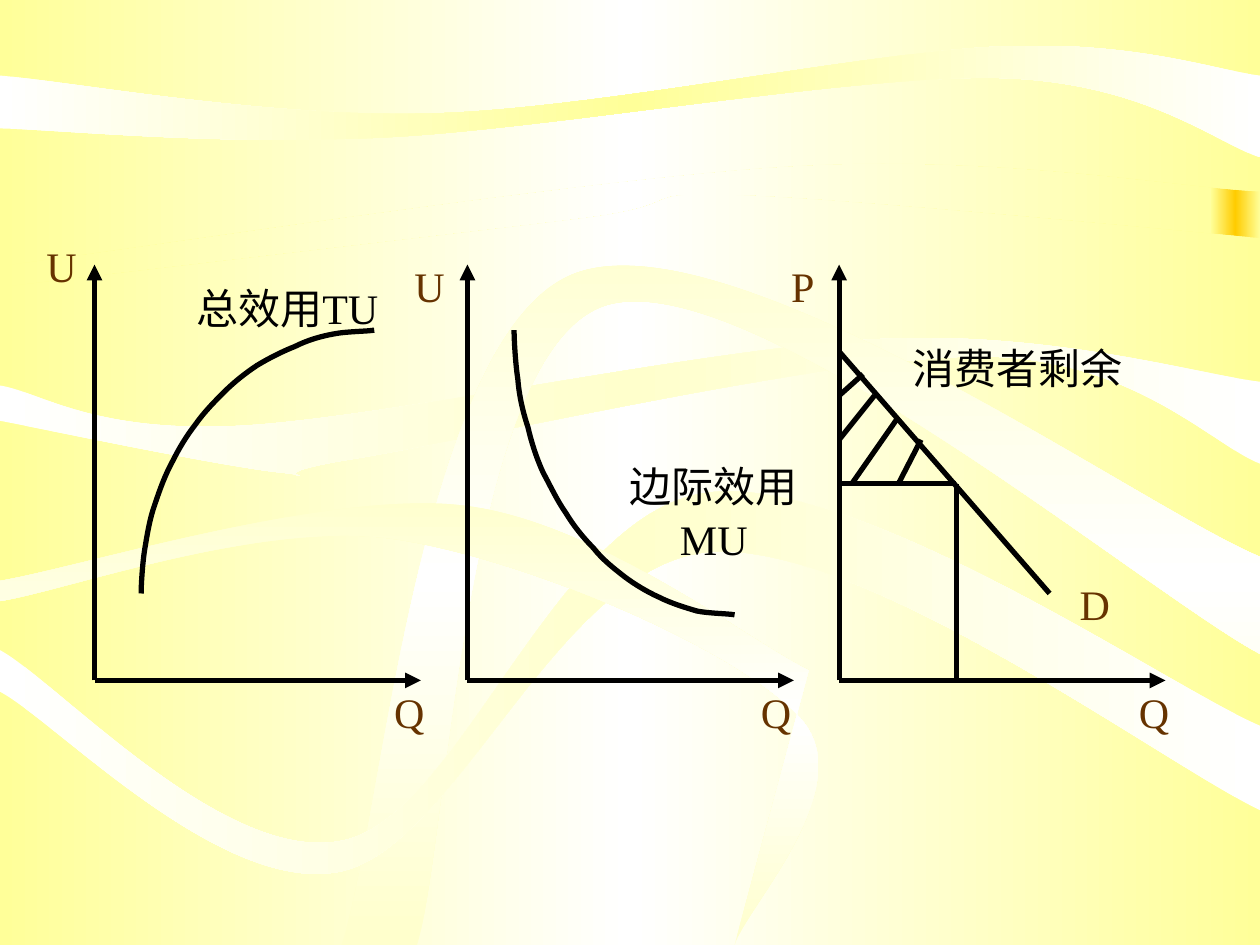
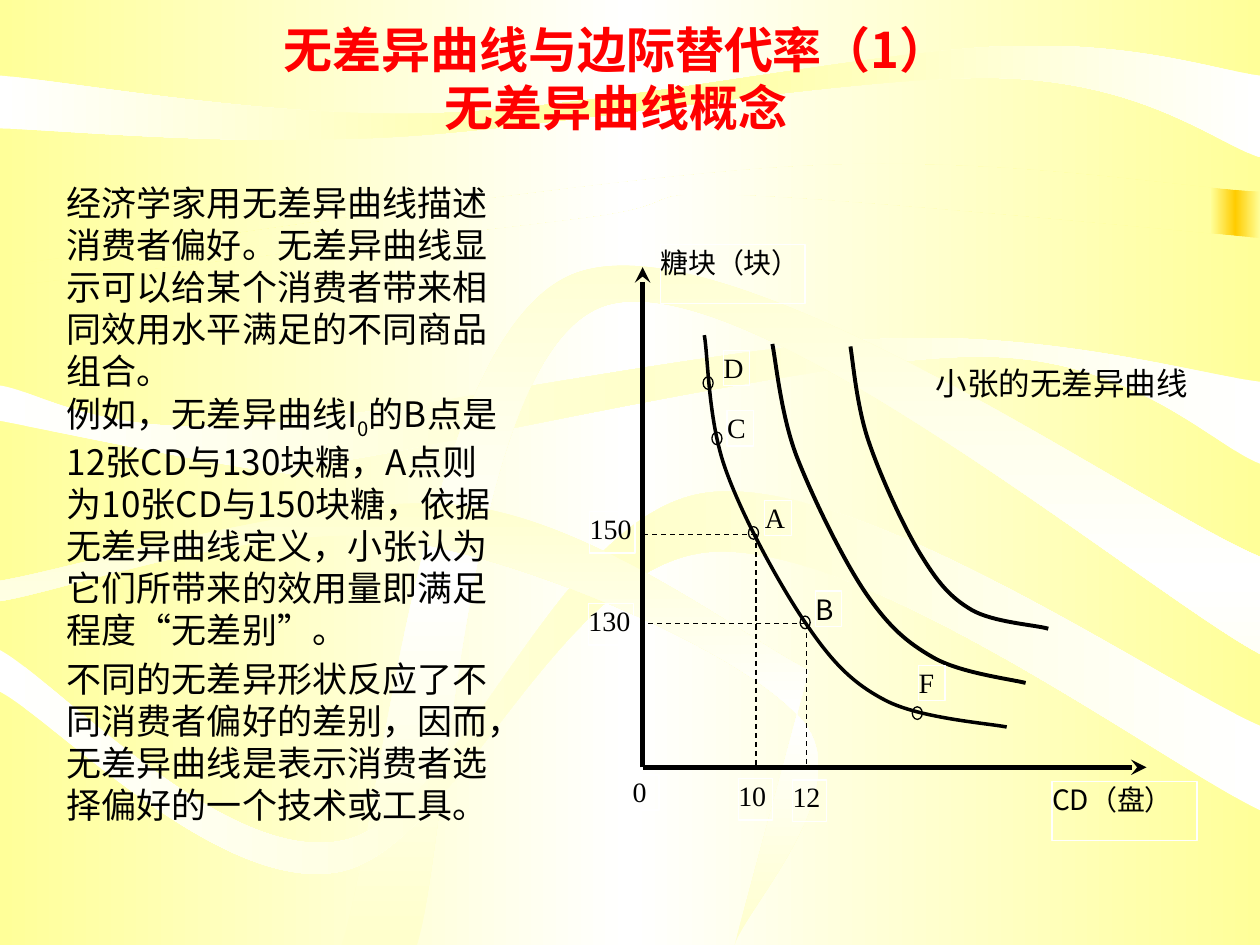
from copy import deepcopy
from itertools import chain, islice
from math import cos, radians, sin

from lxml import etree
from pptx import Presentation
from pptx.dml.color import RGBColor
from pptx.enum.dml import MSO_LINE
from pptx.enum.shapes import MSO_CONNECTOR, MSO_SHAPE
from pptx.enum.text import MSO_ANCHOR, MSO_AUTO_SIZE, PP_ALIGN
from pptx.oxml.ns import qn
from pptx.util import Pt

PX = 9144  # EMU per px, 100 px to the inch
RECT, OVAL, STRAIGHT = MSO_SHAPE.RECTANGLE, MSO_SHAPE.OVAL, MSO_CONNECTOR.STRAIGHT
LEFT, CENTER, JUSTIFY = PP_ALIGN.LEFT, PP_ALIGN.CENTER, PP_ALIGN.JUSTIFY
DASH = MSO_LINE.DASH

BLACK = RGBColor.from_string("000000")
WHITE = RGBColor.from_string("FFFFFF")
RED = RGBColor.from_string("FF0000")
BROWN = RGBColor.from_string("663300")
YELLOW = RGBColor.from_string("FFFF99")
CREAM = RGBColor.from_string("FFFFCC")
GOLD = RGBColor.from_string("FFCC00")
SERIF, SANS = "Times New Roman", "Noto Sans CJK SC"

WIDTH, HEIGHT = 1000, 750
GOLD_TAB = (961, 49, 39, 345)
# Each ribbon: edge colour, middle colour, clockwise angle, knots of its smooth edges.
RIBBONS = [
    (YELLOW, WHITE, 0, [[(0, 0), (WIDTH, 0)],
                        [(WIDTH, 152), (625, 132), (0, 211)]]),
    (YELLOW, WHITE, 0, [[(0, 228), (458, 174), (586, 155), (WIDTH, 189)],
                        [(WIDTH, HEIGHT), (0, HEIGHT)]]),
    (WHITE, YELLOW, 0, [[(0, 102), (308, 109), (794, 62), (WIDTH, 125)],
                        [(WIDTH, 60), (792, 37), (345, 90), (0, 60)]]),
    (WHITE, CREAM, 0, [[(0, 334), (222, 375), (282, 364), (780, 283), (WIDTH, 368)],
                       [(WIDTH, 303), (701, 269), (190, 338), (0, 306)]]),
    (CREAM, WHITE, 90, [[(271, HEIGHT), (454, 218), (WIDTH, 442)],
                        [(WIDTH, 519), (479, 243), (331, HEIGHT)]]),
    (WHITE, CREAM, 0, [[(0, 549), (269, 692), (565, 438), (WIDTH, 643)],
                       [(WIDTH, 576), (562, 391), (273, 667), (0, 516)]]),
    (CREAM, WHITE, 90, [[(0, 477), (314, 428), (637, 572), (583, HEIGHT)],
                        [(642, 532), (366, 401), (0, 461)]]),
]

# Slide 1: origin x, vertical axis name with its place, x of the horizontal axis name
DIAGRAMS = [(75, "U", 27, 186, 303), (371, "U", 319, 202, 594), (666, "P", 618, 202, 894)]
BASE_Y, AXIS_WIDTH, AXIS_HEIGHT = 540, 259, 330
# Quarter ellipses: centre, radii, start angle
UTILITY_CURVES = [((297, 471), (185, 209), 180), ((583, 262), (175, 226), 90)]
DEMAND = (666, 279, 833, 471)
DEMAND_NAME = ("D", 847, 454)
QUANTITY, PRICE = 759, 384
SURPLUS_HATCHING = [(685, 297, 666, 314), (694, 314, 666, 349),
                    (713, 331, 676, PRICE), (731, 349, 713, PRICE)]
CURVE_NAMES = [
    ("总效用TU", (146, 218, 181, 50), LEFT),
    ("边际效用MU", (476, 359, 181, 90), CENTER),
    ("消费者剩余", (705, 265, 205, 50), CENTER),
]

# Slide 2: indifference curves
TITLE = ["无差异曲线与边际替代率（1）", "无差异曲线概念"]
SUBSCRIPT = "0"
BODY = [
    ["经济学家用无差异曲线描述消费者偏好。无差异曲线显示可以给某个消费者带来相同效用水平满足的不同商品组合。"],
    ["例如，无差异曲线I", SUBSCRIPT,
     "的B点是12张CD与130块糖，A点则为10张CD与150块糖，依据无差异曲线定义，小张认为它们所带来的效用量即满足程度“无差别”。"],
    ["不同的无差异形状反应了不同消费者偏好的差别，因而，无差异曲线是表示消费者选择偏好的一个技术或工具。"],
]
ORIGIN = (510, 609)
AXIS_TIPS = [(910, 609), (510, 212)]
INDIFFERENCE_CURVES = [
    (2, [(559, 266), (575, 370), (639, 494), (703, 556), (799, 577)]),
    (2.25, [(613, 273), (633, 364), (688, 472), (741, 522), (814, 542)]),
    (2.25, [(675, 275), (689, 349), (730, 439), (771, 484), (832, 499)]),
]
BUNDLES = [(558, 299), (565, 343), (594, 418), (635, 489), (724, 561)]
GUIDED_POINTS = [(600, 424), (640, 495)]
LABELS = {  # box size: labels with their places
    (21, 28): [("A", 607, 397), ("B", 647, 469), ("C", 577, 326),
               ("F", 729, 528), ("D", 574, 278), ("0", 502, 615)],
    (27, 33): [("10", 586, 618), ("12", 629, 619)],
    (36, 33): [("130", 467, 479), ("150", 468, 406)],
    (115, 47): [("糖块（块）", 524, 194), ("CD（盘）", 835, 620)],
}
SANS_LABELS = {"B", "CD（盘）"}
CAPTION = ("小张的无差异曲线", (733, 283, 220, 40))


def emu(box):
    return [value * PX for value in box]


def set_gradient(fill, owner, edge, middle, angle=0):
    """Fill with edge, middle, edge; owner is the element that holds the fill."""
    fill.gradient()
    stop_list = owner.find(".//" + qn("a:gsLst"))
    stop_list.insert(1, deepcopy(stop_list[0]))
    for stop, position, color in zip(fill.gradient_stops, (0, 0.5, 1), (edge, middle, edge)):
        stop.position = position
        stop.color.rgb = color
    fill.gradient_angle = (360 - angle) % 360


def smooth(knots):
    """Turn knots into Bezier segments, each leaning on the neighbouring knots."""
    padded = [knots[0], *knots, knots[-1]]
    for before, start, end, after in zip(padded, padded[1:], padded[2:], padded[3:]):
        yield [
            tuple(s + (e - b) / 6 for b, s, e in zip(before, start, end)),
            tuple(e - (a - s) / 6 for s, e, a in zip(start, end, after)),
            end,
        ]


def add_outline(shapes, edges, closed=False):
    """Draw smooth edges, joined to each other by straight lines."""
    segments = list(chain.from_iterable([[edge[0]], *smooth(edge)] for edge in edges))
    segments = [part if isinstance(part, list) else [part] for part in segments]
    start, *points = chain.from_iterable(segments)
    builder = shapes.build_freeform(*start, scale=PX)
    builder.add_line_segments(points, close=closed)
    shape = builder.convert_to_shape()
    shape.shadow.inherit = False
    path = shape.element.find(".//" + qn("a:path"))
    steps = iter(path.findall(qn("a:lnTo")))
    for segment in segments[1:]:
        first, *others = islice(steps, len(segment))
        if others:
            first.tag = qn("a:cubicBezTo")
        for step in others:
            first.append(step[0])
            path.remove(step)
    return shape


def add_curve(shapes, knots, width):
    curve = add_outline(shapes, [knots])
    curve.fill.background()
    curve.line.color.rgb = BLACK
    curve.line.width = Pt(width)


def quarter_ellipse(center, radii, start):
    turns = [radians(start + step * 10) for step in range(10)]
    return [(center[0] + radii[0] * cos(turn), center[1] + radii[1] * sin(turn))
            for turn in turns]


def add_line(shapes, ends, width=3, arrow=None, dash=None):
    connector = shapes.add_connector(STRAIGHT, *emu(ends))
    line = connector.line
    line.color.rgb = BLACK
    line.width = Pt(width)
    if dash:
        line.dash_style = dash
    properties = connector.element.spPr
    if arrow:
        etree.SubElement(properties.find(qn("a:ln")), qn("a:tailEnd"), type=arrow)
    etree.SubElement(properties, qn("a:effectLst"))


def add_hollow(shapes, kind, box, color):
    shape = shapes.add_shape(kind, *emu(box))
    shape.shadow.inherit = False
    shape.fill.background()
    shape.line.color.rgb = color
    shape.line.width = Pt(0.75)
    return shape


def add_run(paragraph, text, size, color=BLACK, font=SERIF, bold=False):
    run = paragraph.add_run()
    run.text = text
    run.font.size = Pt(size)
    run.font.bold = bold
    run.font.color.rgb = color
    run.font.name = font
    properties = run._r.get_or_add_rPr()
    etree.SubElement(properties, qn("a:ea"), typeface=SANS)
    if text == SUBSCRIPT and font == SANS:
        properties.set("baseline", "-25000")


def write_label(frame, text, size, align=LEFT, color=BLACK, font=SERIF):
    paragraph = frame.paragraphs[0]
    paragraph.alignment = align
    if font == SANS or not text.isascii():
        paragraph.line_spacing = Pt(size * 1.25)
    add_run(paragraph, text, size, color, font)


def add_text(shapes, text, box, size, align=LEFT, color=BLACK, wrap=True):
    frame = shapes.add_textbox(*emu(box)).text_frame
    frame.word_wrap = wrap
    write_label(frame, text, size, align, color)


def place(placeholder, box, anchor):
    placeholder.left, placeholder.top, placeholder.width, placeholder.height = emu(box)
    frame = placeholder.text_frame
    frame.auto_size = MSO_AUTO_SIZE.NONE
    frame.word_wrap = True
    frame.vertical_anchor = anchor
    return frame


def decorate_master(master, shapes):
    """Draw the background parts with shapes, then move them behind the master's text."""
    set_gradient(master.background.fill, master.element, YELLOW, WHITE)
    tab = shapes.add_shape(RECT, *emu(GOLD_TAB))
    tab.shadow.inherit = False
    set_gradient(tab.fill, tab.element, YELLOW, GOLD)
    parts = [tab]
    for edge, middle, angle, outline in RIBBONS:
        ribbon = add_outline(shapes, outline, closed=True)
        set_gradient(ribbon.fill, ribbon.element, edge, middle, angle)
        parts.append(ribbon)
    tree = master.shapes.element
    for index, part in enumerate(parts, start=2):
        part.line.fill.background()
        tree.insert(index, part.element)


def draw_utility(shapes):
    drawing = shapes.add_group_shape().shapes
    axis_names = [DEMAND_NAME]
    for x, name, name_x, name_y, q_x in DIAGRAMS:
        for tip in ((x, BASE_Y - AXIS_HEIGHT), (x + AXIS_WIDTH, BASE_Y)):
            add_line(drawing, (x, BASE_Y, *tip), arrow="triangle")
        axis_names += [(name, name_x, name_y), ("Q", q_x, BASE_Y)]
    for curve in UTILITY_CURVES:
        add_curve(drawing, quarter_ellipse(*curve), 3)
    price_line = (DEMAND[0], PRICE, QUANTITY, PRICE)
    quantity_line = (QUANTITY, PRICE, QUANTITY, BASE_Y)
    for ends in (price_line, quantity_line, DEMAND, *SURPLUS_HATCHING):
        add_line(drawing, ends)
    for name, x, y in axis_names:
        add_text(shapes, name, (x, y, 79, 50), 24, color=BROWN)
    for name, box, align in CURVE_NAMES:
        add_text(shapes, name, box, 24, align)


def write_explanation(slide):
    heading = place(slide.shapes.title, (43, 21, 892, 83), MSO_ANCHOR.MIDDLE).paragraphs[0]
    heading.alignment = CENTER
    heading.line_spacing = Pt(33)
    for index, line in enumerate(TITLE):
        if index:
            heading.add_line_break()
        add_run(heading, line, 28, RED, SANS, bold=True)

    body = place(slide.placeholders[1], (43, 139, 370, 559), MSO_ANCHOR.TOP)
    for index, pieces in enumerate(BODY):
        paragraph = body.add_paragraph() if index else body.paragraphs[0]
        properties = paragraph._p.get_or_add_pPr()
        properties.set("marL", "0")
        properties.set("indent", "0")
        etree.SubElement(properties, qn("a:buNone"))
        paragraph.line_spacing = Pt(24)
        paragraph.space_before = Pt(4 if index else 0)
        for piece in pieces:
            add_run(paragraph, piece, 20, font=SANS)


def draw_indifference(shapes):
    for tip in AXIS_TIPS:
        add_line(shapes, (*ORIGIN, *tip), arrow="stealth")
    for width, knots in INDIFFERENCE_CURVES:
        add_curve(shapes, knots, width)
    for x, y in BUNDLES:
        add_hollow(shapes, OVAL, (x, y, 8, 10), BLACK)
    for x, y in GUIDED_POINTS:
        for foot in ((ORIGIN[0], y), (x, ORIGIN[1])):
            add_line(shapes, (x, y, *foot), 0.75, dash=DASH)
    for size, labels in LABELS.items():
        for text, x, y in labels:
            frame = add_hollow(shapes, RECT, (x, y, *size), WHITE).text_frame
            frame.margin_left = frame.margin_top = frame.margin_right = frame.margin_bottom = 0
            frame.word_wrap = True
            frame.vertical_anchor = MSO_ANCHOR.TOP
            font = SANS if text in SANS_LABELS else SERIF
            write_label(frame, text, 16, JUSTIFY, font=font)
    add_text(shapes, *CAPTION, 18, wrap=False)


def main():
    deck = Presentation()
    deck.slide_width, deck.slide_height = emu((WIDTH, HEIGHT))
    utility = deck.slides.add_slide(deck.slide_layouts[6])
    decorate_master(deck.slide_master, utility.shapes)
    draw_utility(utility.shapes)
    indifference = deck.slides.add_slide(deck.slide_layouts[1])
    write_explanation(indifference)
    draw_indifference(indifference.shapes)
    deck.save("out.pptx")


if __name__ == "__main__":
    main()
